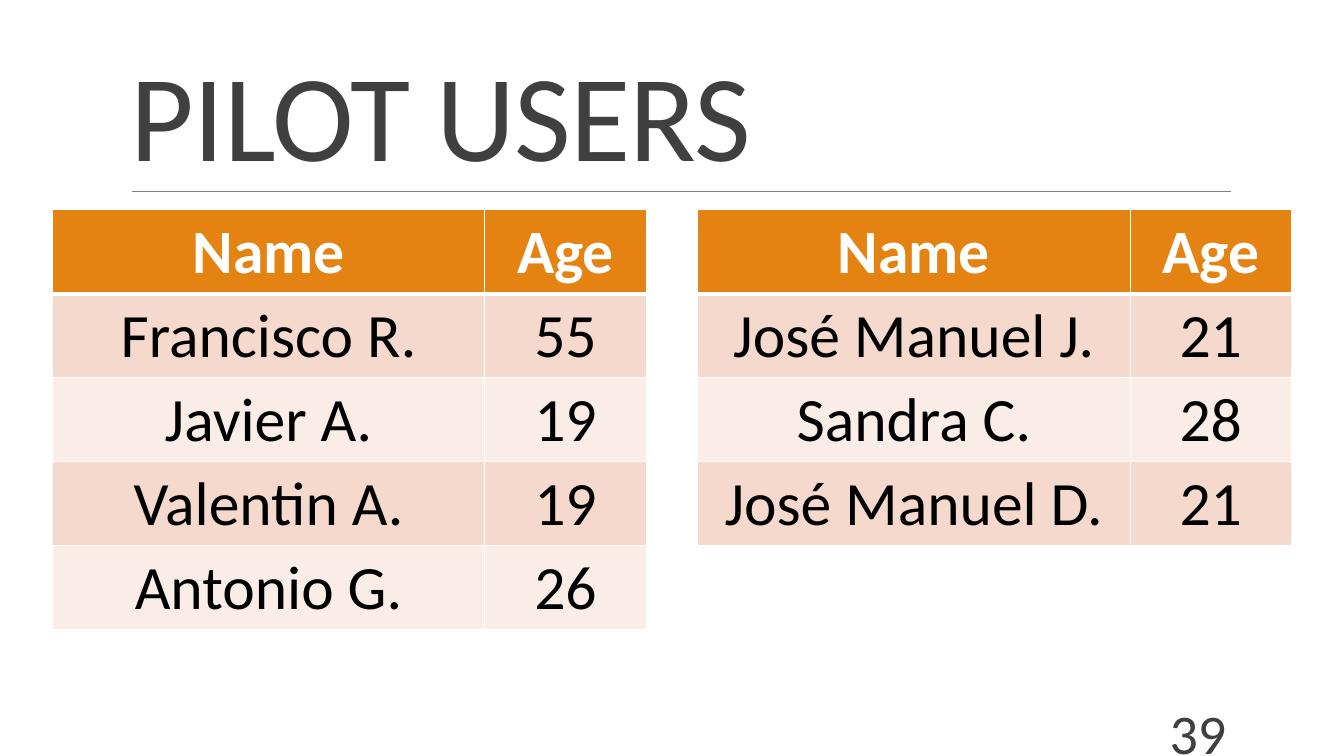
from dataclasses import dataclass

import pptx
import pptx.dml.color
import pptx.enum.shapes
import pptx.enum.text
import pptx.oxml
import pptx.oxml.ns
import pptx.util
from pptx.enum.text import MSO_ANCHOR, PP_ALIGN

RGBColor = pptx.dml.color.RGBColor
WHITE = RGBColor(0xFF, 0xFF, 0xFF)
BLACK = RGBColor(0x00, 0x00, 0x00)
CHARCOAL = RGBColor(0x40, 0x40, 0x40)
GREY = RGBColor(0x80, 0x80, 0x80)
ORANGE = RGBColor(0xE4, 0x83, 0x12)
BANDS = (RGBColor(0xF5, 0xD9, 0xCC), RGBColor(0xFA, 0xED, 0xE7))

FONT = "Calibri"
SLIDE_WIDTH = pptx.util.Inches(13.33)
SLIDE_HEIGHT = pptx.util.Inches(7.5)
HEADINGS = ("Name", "Age")
COLUMN_SHARES = (32.18, 12)
ROW_SHARE = 11.07
TABLE_TOP = 27.73


@dataclass(frozen=True)
class Label:
    """Text in a box; left, top, width and height are percent of the slide."""
    text: str
    left: float
    top: float
    width: float
    height: float
    size: int
    anchor: MSO_ANCHOR
    align: PP_ALIGN
    line_spacing: float = 1.0
    tracking: float = 0


@dataclass(frozen=True)
class UserTable:
    left: float
    users: tuple[tuple[str, str], ...]


LABELS = (
    Label("PILOT USERS", 9, 4.13, 82.52, 21.2, 88, MSO_ANCHOR.BOTTOM, PP_ALIGN.LEFT, 0.85, -0.5),
    Label("39", 81.25, 94.13, 10.73, 5.33, 40, MSO_ANCHOR.MIDDLE, PP_ALIGN.RIGHT),
)
TABLES = (
    UserTable(3.9, (("Francisco R.", "55"), ("Javier A.", "19"),
                    ("Valentin A.", "19"), ("Antonio G.", "26"))),
    UserTable(51.91, (("José Manuel J.", "21"), ("Sandra C.", "28"),
                      ("José Manuel D.", "21"))),
)


def across(percent: float) -> int:
    return round(SLIDE_WIDTH * percent / 100)


def down(percent: float) -> int:
    return round(SLIDE_HEIGHT * percent / 100)


def format_text(para, size: int, color: RGBColor, align: PP_ALIGN, bold: bool = False) -> None:
    para.alignment = align
    for span in para.runs:
        span.font.name = FONT
        span.font.size = pptx.util.Pt(size)
        span.font.bold = bold
        span.font.color.rgb = color


def draw_label(page, label: Label) -> None:
    box = page.shapes.add_textbox(across(label.left), down(label.top),
                                  across(label.width), down(label.height))
    frame = box.text_frame
    frame.word_wrap = True
    frame.vertical_anchor = label.anchor
    frame.text = label.text
    para = frame.paragraphs[0]
    para.line_spacing = label.line_spacing
    format_text(para, label.size, CHARCOAL, label.align)
    if label.tracking:
        para.runs[0].font._element.set("spc", str(round(label.tracking * 100)))


def draw_rule(page) -> None:
    rule = page.shapes.add_connector(pptx.enum.shapes.MSO_CONNECTOR.STRAIGHT,
                                     across(9.83), down(25.33), across(91.6), down(25.33))
    rule.line.color.rgb = GREY
    rule.line.width = pptx.util.Pt(0.5)
    rule._element.spPr.append(pptx.oxml.parse_xml(
        f'<a:effectLst {pptx.oxml.ns.nsdecls("a")}/>'))


def set_borders(cell, row: int) -> None:
    """White grid, with a heavier line beneath the heading row."""
    widths = {"lnL": 1, "lnR": 1, "lnT": 3 if row == 1 else 1, "lnB": 3 if row == 0 else 1}
    properties = cell._tc.get_or_add_tcPr()
    for position, (edge, points) in enumerate(widths.items()):
        properties.insert(position, pptx.oxml.parse_xml(
            f'<a:{edge} {pptx.oxml.ns.nsdecls("a")} w="{pptx.util.Pt(points)}">'
            f'<a:solidFill><a:srgbClr val="{WHITE}"/></a:solidFill></a:{edge}>'))


def draw_table(page, spec_table: UserTable) -> None:
    rows = (HEADINGS, *spec_table.users)
    table = page.shapes.add_table(len(rows), len(HEADINGS), across(spec_table.left),
                                  down(TABLE_TOP), across(sum(COLUMN_SHARES)),
                                  down(ROW_SHARE * len(rows))).table
    for column, share in zip(table.columns, COLUMN_SHARES):
        column.width = across(share)
    for row, values in enumerate(rows):
        table.rows[row].height = down(ROW_SHARE)
        heading = row == 0
        for column, value in enumerate(values):
            cell = table.cell(row, column)
            cell.text_frame.text = value
            format_text(cell.text_frame.paragraphs[0], 44, WHITE if heading else BLACK,
                        PP_ALIGN.CENTER, heading)
            cell.fill.solid()
            cell.fill.fore_color.rgb = ORANGE if heading else BANDS[(row - 1) % 2]
            set_borders(cell, row)


def main() -> None:
    deck = pptx.Presentation()
    deck.slide_width, deck.slide_height = SLIDE_WIDTH, SLIDE_HEIGHT
    page = deck.slides.add_slide(deck.slide_layouts[6])

    # Heading rule, title and page number
    draw_rule(page)
    for label in LABELS:
        draw_label(page, label)

    # Pilot users, side by side
    for user_table in TABLES:
        draw_table(page, user_table)

    deck.save("out.pptx")


if __name__ == "__main__":
    main()
